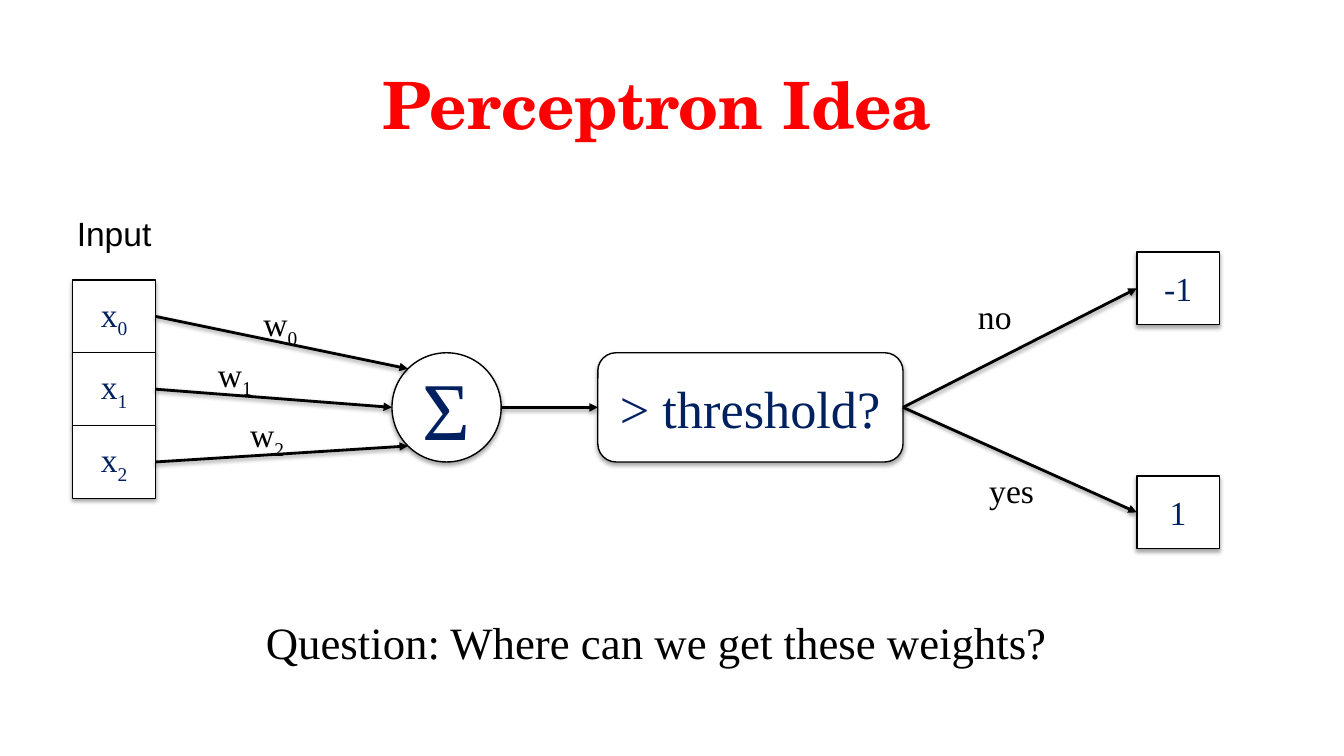
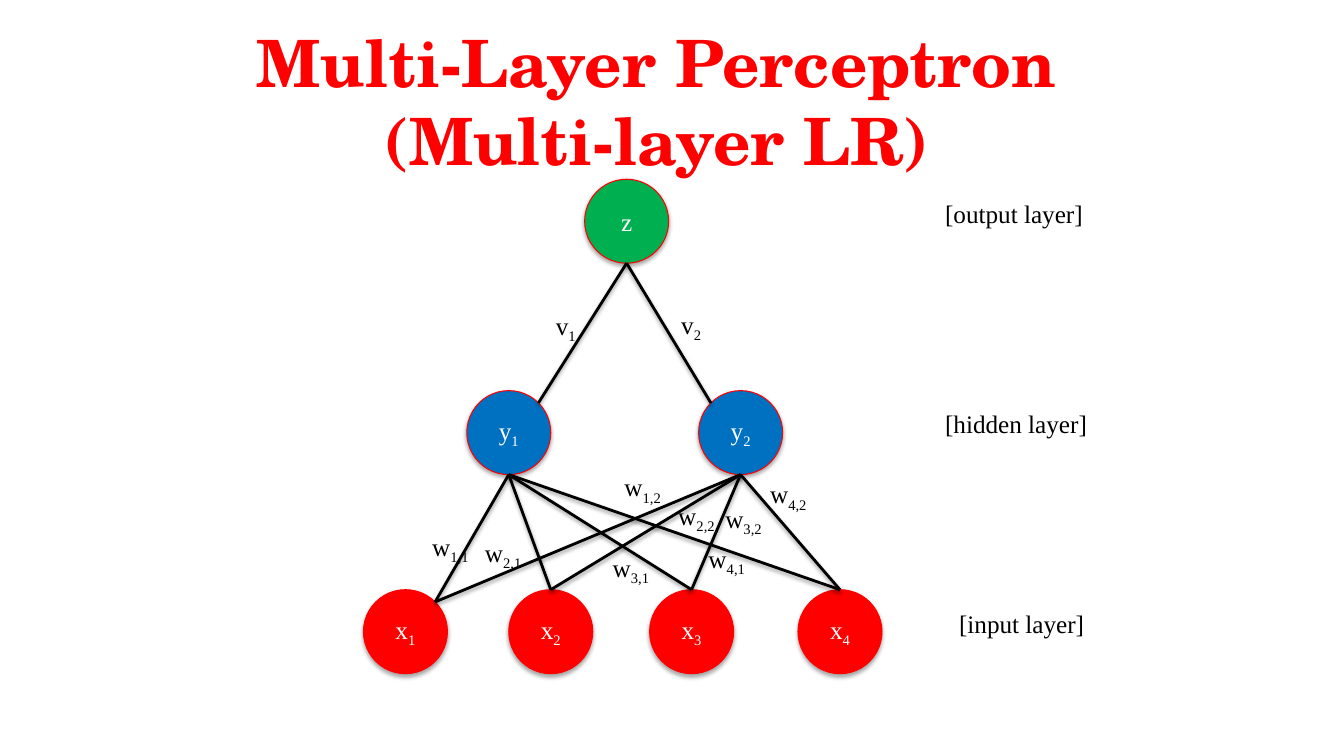
from dataclasses import dataclass
from math import sqrt

from lxml.etree import SubElement
from pptx import Presentation
from pptx.dml.color import RGBColor
from pptx.enum.shapes import MSO_CONNECTOR, MSO_SHAPE
from pptx.enum.text import MSO_ANCHOR, MSO_AUTO_SIZE, PP_ALIGN
from pptx.oxml.ns import qn
from pptx.util import Pt

BLACK, WHITE, RED = "000000", "FFFFFF", "FF0000"
NAVY, BLUE, GREEN = "002060", "0070C0", "00B050"
SERIF, SANS, TITLE_FONT = "Times New Roman", "Arial", "TeX Gyre Schola"
WIDE, NARROW = 9.6, 7.2  # side insets; top and bottom are half
DIAGONAL = 1 / sqrt(2)


@dataclass
class Text:
    """A word with an optional subscript, and how it is set."""
    main: str
    sub: str = ""
    size: float = 24
    color: str = BLACK
    font: str = SERIF
    align: PP_ALIGN = PP_ALIGN.LEFT
    inset: float = WIDE


@dataclass
class Box:
    x: float
    y: float
    w: float
    h: float


@dataclass
class Look:
    shape: MSO_SHAPE
    fill: str = WHITE
    line: str = BLACK
    weight: float = 1
    color: str = NAVY
    size: float = 24
    inset: float = WIDE


def rgb(value: str) -> RGBColor:
    return RGBColor.from_string(value)


def set_frame(tf, inset: float, anchor: MSO_ANCHOR, wrap: bool = True) -> None:
    tf.word_wrap = wrap
    tf.auto_size = MSO_AUTO_SIZE.NONE
    tf.vertical_anchor = anchor
    tf.margin_left = tf.margin_right = Pt(inset)
    tf.margin_top = tf.margin_bottom = Pt(inset / 2)


def set_font(p, name: str, size: float, color: str, bold: bool = False) -> None:
    p.font.name = name
    p.font.size = Pt(size)
    p.font.bold = bold
    p.font.color.rgb = rgb(color)


def write(p, text: Text) -> None:
    p.alignment = text.align
    set_font(p, text.font, text.size, text.color)
    p.add_run().text = text.main
    if text.sub:
        r = p.add_run()
        r.text = text.sub
        r._r.get_or_add_rPr().set("baseline", "-25000")


def add_shadow(sp, alpha: int, distance: float) -> None:
    effects = SubElement(sp._element.spPr, qn("a:effectLst"))
    shadow = SubElement(effects, qn("a:outerShdw"), blurRad=str(Pt(3.1)),
                        dist=str(Pt(distance)), dir="5400000", rotWithShape="0")
    color = SubElement(shadow, qn("a:srgbClr"), val=BLACK)
    SubElement(color, qn("a:alpha"), val=str(alpha * 1000))


def add_title_slide(prs, title: str, x: float, y: float, inset: float):
    slide = prs.slides.add_slide(prs.slide_layouts[5])
    sp = slide.shapes.title
    sp.left, sp.top, sp.width, sp.height = Pt(x), Pt(y), Pt(885.6), Pt(73.4)
    tf = sp.text_frame
    tf.text = title
    set_frame(tf, inset, MSO_ANCHOR.TOP)
    p = tf.paragraphs[0]
    p.alignment = PP_ALIGN.CENTER
    set_font(p, TITLE_FONT, 46.6, RED, bold=True)
    return slide


def add_label(slide, box: Box, text: Text, wrap: bool = True) -> None:
    sp = slide.shapes.add_textbox(Pt(box.x), Pt(box.y), Pt(box.w), Pt(box.h))
    set_frame(sp.text_frame, text.inset, MSO_ANCHOR.TOP, wrap)
    write(sp.text_frame.paragraphs[0], text)


def add_node(slide, box: Box, look: Look, main: str, sub: str = ""):
    sp = slide.shapes.add_shape(look.shape, Pt(box.x), Pt(box.y), Pt(box.w), Pt(box.h))
    sp.fill.solid()
    sp.fill.fore_color.rgb = rgb(look.fill)
    sp.line.color.rgb = rgb(look.line)
    sp.line.width = Pt(look.weight)
    add_shadow(sp, 35, 1.8)
    set_frame(sp.text_frame, look.inset, MSO_ANCHOR.MIDDLE)
    write(sp.text_frame.paragraphs[0],
          Text(main, sub, look.size, look.color, align=PP_ALIGN.CENTER))
    return sp


def site(sp, dx: float, dy: float) -> tuple[int, int]:
    """Point at dx, dy half-sizes from the centre of a shape."""
    return (int(sp.left + sp.width * (1 + dx) / 2),
            int(sp.top + sp.height * (1 + dy) / 2))


def add_line(slide, start: tuple[int, int], end: tuple[int, int], arrow: bool = False):
    line = slide.shapes.add_connector(MSO_CONNECTOR.STRAIGHT, *start, *end)
    line.line.color.rgb = rgb(BLACK)
    line.line.width = Pt(2)
    if arrow:
        SubElement(line._element.spPr.find(qn("a:ln")), qn("a:tailEnd"), type="triangle")
    add_shadow(line, 38, 1.6)
    return line


def build_perceptron(prs) -> None:
    slide = add_title_slide(prs, "Perceptron Idea", 26.6, 41, WIDE)
    cell = Look(MSO_SHAPE.RECTANGLE)
    cell_w, cell_h = 59, 52

    inputs = [add_node(slide, Box(52, 200 + i * cell_h, cell_w, cell_h), cell, "x", str(i))
              for i in range(3)]
    total = add_node(slide, Box(280, 252, 78, 78), Look(MSO_SHAPE.OVAL, size=58.6), "Σ")
    test = add_node(slide, Box(427, 252, 218, 78),
                    Look(MSO_SHAPE.ROUNDED_RECTANGLE, size=37.4), "> threshold?")
    outputs = [add_node(slide, Box(812, y, cell_w, cell_h), cell, value)
               for value, y in (("-1", 180), ("1", 340))]

    entries = ((-DIAGONAL, -DIAGONAL), (-1, 0), (-DIAGONAL, DIAGONAL))
    for source, entry in zip(inputs, entries):
        line = add_line(slide, site(source, 1, 0), site(total, *entry), arrow=True)
        line.begin_connect(source, 3)
    line = add_line(slide, site(total, 1, 0), site(test, -1, 0), arrow=True)
    line.end_connect(test, 1)
    for output in outputs:
        line = add_line(slide, site(test, 1, 0), site(output, -1, 0), arrow=True)
        line.begin_connect(test, 3)
        line.end_connect(output, 1)

    labels = (("w", "0", 178.6, 211.7), ("w", "1", 146, 247.7), ("w", "2", 169, 291),
              ("no", "", 689, 206.6), ("yes", "", 697, 331.2))
    for main, sub, x, y in labels:
        add_label(slide, Box(x, y, 64, 39), Text(main, sub))
    add_label(slide, Box(11.5, 147, 140, 39),
              Text("Input", font=SANS, align=PP_ALIGN.CENTER))
    add_label(slide, Box(113, 434, 712, 48),
              Text("Question: Where can we get these weights?", size=32,
                   align=PP_ALIGN.CENTER))


def build_multi_layer(prs) -> None:
    slide = add_title_slide(prs, "Multi-Layer Perceptron\v(Multi-layer LR)", 26, 12.2, NARROW)

    def add_layer(name: str, fill: str, y: float, xs: tuple[float, ...]) -> list:
        look = Look(MSO_SHAPE.OVAL, fill, RED, 0.75, WHITE, 18, NARROW)
        return [add_node(slide, Box(x, y, 60, 60), look, name,
                         str(i) if len(xs) > 1 else "")
                for i, x in enumerate(xs, 1)]

    inputs = add_layer("x", RED, 421.2, (259.6, 363.4, 464, 570))
    hidden = add_layer("y", BLUE, 279, (333.4, 499))
    output, = add_layer("z", GREEN, 128, (417.6,))

    for unit in hidden:
        for i, source in enumerate(inputs):
            exit_at = (0, -1) if i else (DIAGONAL, -DIAGONAL)
            add_line(slide, site(source, *exit_at), site(unit, 0, 1))
    for unit, side in zip(hidden, (1, -1)):
        add_line(slide, site(unit, side * DIAGONAL, -DIAGONAL), site(output, 0, 1))

    weights = (("v", "1", 390, 218), ("v", "2", 479.5, 217.4),
               ("w", "1,1", 301.7, 375.8), ("w", "2,1", 339.3, 380),
               ("w", "3,1", 430.6, 391), ("w", "4,1", 499, 384.5),
               ("w", "1,2", 439, 333.4), ("w", "2,2", 477.4, 353.5),
               ("w", "3,2", 511, 355.7), ("w", "4,2", 543, 338.4))
    for main, sub, x, y in weights:
        add_label(slide, Box(x, y, 50, 29), Text(main, sub, 18, inset=NARROW))
    layers = (("[output layer]", 668, 138.2, 114), ("[hidden layer]", 668, 288, 117),
              ("[input layer]", 678, 431.3, 105))
    for name, x, y, w in layers:
        add_label(slide, Box(x, y, w, 29), Text(name, size=18, inset=NARROW), wrap=False)


def main() -> None:
    prs = Presentation()
    prs.slide_width, prs.slide_height = Pt(960), Pt(540)
    build_perceptron(prs)
    build_multi_layer(prs)
    prs.save("out.pptx")


if __name__ == "__main__":
    main()
